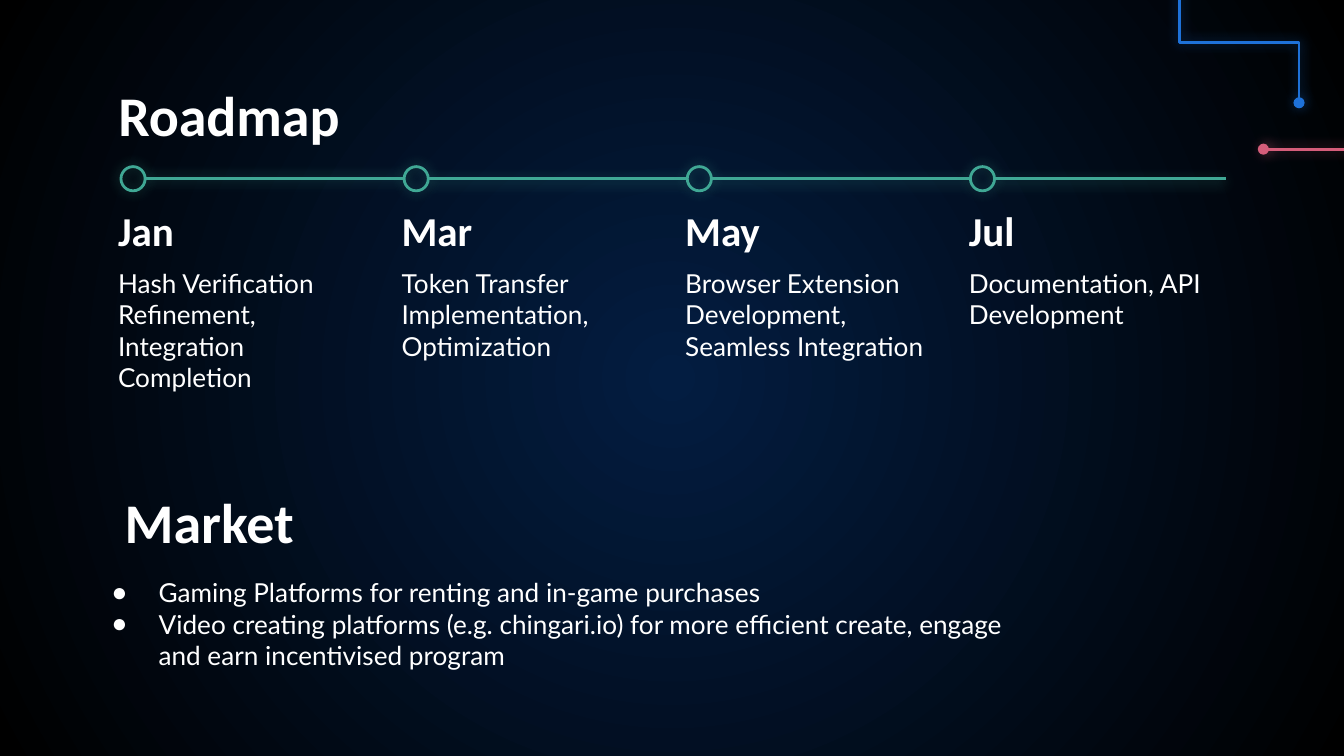
from pptx import Presentation, util as u
from pptx.dml.color import RGBColor
from pptx.enum import shapes, text
from pptx.oxml import parse_xml
from pptx.oxml.ns import nsdecls, qn

STEPS = [
    ("Jan", "Hash Verification Refinement, Integration Completion"),
    ("Mar", "Token Transfer Implementation, Optimization"),
    ("May", "Browser Extension Development, Seamless Integration"),
    ("Jul", "Documentation, API Development"),
]
MARKET = [
    "Gaming Platforms for renting and in-game purchases",
    "Video creating platforms (e.g. chingari.io) for more efficient create, engage and earn incentivised program",
]
THEME = {
    "white": "FFFFFF", "navy": "031D41", "black": "000000",
    "green": "40A895", "blue": "1E71D8", "pink": "D55D7A",
    "head": ("Calibri", 30, True),
    "month": ("Calibri", 22, True),
    "body": ("Lato", 14, False),
}
LEFT, STEP = 0.78, 2.11
FIRST, LAST, RING = 0.9, 7.22, 0.18
AXIS, STOP = 1.33, 9.12


def rgb(name):
    return RGBColor.from_string(THEME[name])


def xml(tag, attrs="", inner=""):
    return parse_xml(f"<a:{tag} {nsdecls('a')} {attrs}>{inner}</a:{tag}>")


def glow(shape, name, dist=0, turn=0):
    shape.line.color.rgb = rgb(name)
    shape.line.width = u.Pt(1.5)
    shade = (f'<a:outerShdw blurRad="{u.Pt(6.75)}" dist="{u.Pt(dist)}" dir="{turn * 60000}" '
             f'algn="bl" rotWithShape="0"><a:srgbClr val="{THEME[name]}">'
             '<a:alpha val="50000"/></a:srgbClr></a:outerShdw>')
    shape._element.spPr.append(xml("effectLst", "", shade))


def wire(slide, kind, ends, name, dist=0, turn=0, dots=()):
    line = slide.shapes.add_connector(kind, *map(u.Inches, ends))
    glow(line, name, dist, turn)
    for dot in dots:
        line.line._get_or_add_ln().append(xml(dot, 'type="oval"'))
    return line


def write(shape, box, lines, style, mid=False, bullet=False):
    shape.left, shape.top, shape.width, shape.height = map(u.Inches, box)
    frame = shape.text_frame
    frame.word_wrap = True
    frame.auto_size = text.MSO_AUTO_SIZE.NONE
    frame.vertical_anchor = text.MSO_ANCHOR.MIDDLE if mid else text.MSO_ANCHOR.TOP
    frame.margin_left = frame.margin_right = u.Inches(0.1)
    frame.margin_top = frame.margin_bottom = u.Inches(0.1)
    face, size, bold = THEME[style]
    for i, words in enumerate(lines):
        para = frame.paragraphs[0] if i == 0 else frame.add_paragraph()
        para.alignment = text.PP_ALIGN.LEFT
        para.space_before = u.Pt(0)
        if bullet:
            props = para._p.get_or_add_pPr()
            props.set("marL", str(u.Inches(0.5)))
            props.set("indent", str(u.Inches(-0.35)))
            props.append(xml("buClr", "", f'<a:srgbClr val="{THEME["white"]}"/>'))
            props.append(xml("buChar", 'char="●"'))
        run = para.add_run()
        run.text = words
        run.font.name, run.font.size, run.font.bold = face, u.Pt(size), bold
        run.font.color.rgb = rgb("white")


def label(slide, box, words, style, mid=False):
    write(slide.shapes.add_textbox(0, 0, 0, 0), box, [words], style, mid)


def backdrop(slide):
    fill = slide.background.fill
    fill.gradient()
    for stop, name in zip(fill.gradient_stops, ("navy", "black")):
        stop.color.rgb = rgb(name)
    grad = slide.background._cSld.find(".//" + qn("a:gradFill"))
    rect = '<a:fillToRect l="50000" t="50000" r="50000" b="50000"/>'
    grad.replace(grad.find(qn("a:lin")), xml("path", 'path="circle"', rect))


def decor(slide):
    dots = ("headEnd", "tailEnd")
    bend = wire(slide, shapes.MSO_CONNECTOR.ELBOW, (8.77, -0.13, 9.67, 0.76), "blue", dots=dots)
    frame = bend._element.spPr.find(qn("a:xfrm"))
    frame.set("rot", str(270 * 60000))
    frame.set("flipH", "1")
    wire(slide, shapes.MSO_CONNECTOR.STRAIGHT, (9.4, 1.11, 10.9, 1.11), "pink", 1.5, dots=dots)


def roadmap(slide):
    gap = (LAST - FIRST) / (len(STEPS) - 1)
    for i, (month, task) in enumerate(STEPS):
        left = LEFT + i * STEP
        ring = FIRST + i * gap
        label(slide, (left, 1.53, STEP, 0.36), month, "month", True)
        label(slide, (left, 1.89, STEP, 0.69), task, "body")
        node = slide.shapes.add_shape(
            shapes.MSO_SHAPE.OVAL, *map(u.Inches, (ring, AXIS - RING / 2, RING, RING)))
        node.fill.background()
        glow(node, "green")
        end = ring + gap if i < len(STEPS) - 1 else STOP
        dist, turn = (1.5, 90) if i else (0, 0)
        wire(slide, shapes.MSO_CONNECTOR.STRAIGHT, (ring + RING, AXIS, end, AXIS), "green", dist, turn)


def main():
    deck = Presentation()
    deck.slide_width = u.Inches(10)
    deck.slide_height = deck.slide_width * 9 // 16
    slide = deck.slides.add_slide(deck.slide_layouts[1])
    backdrop(slide)
    decor(slide)
    write(slide.shapes.title, (LEFT, 0.59, 8.44, 0.52), ["Roadmap"], "head", True)
    roadmap(slide)
    write(slide.placeholders[1], (0.58, 4.19, 7.14, 1.01), MARKET, "body", bullet=True)
    label(slide, (0.83, 3.62, 8.44, 0.52), "Market", "head", True)
    deck.save("out.pptx")


if __name__ == "__main__":
    main()
